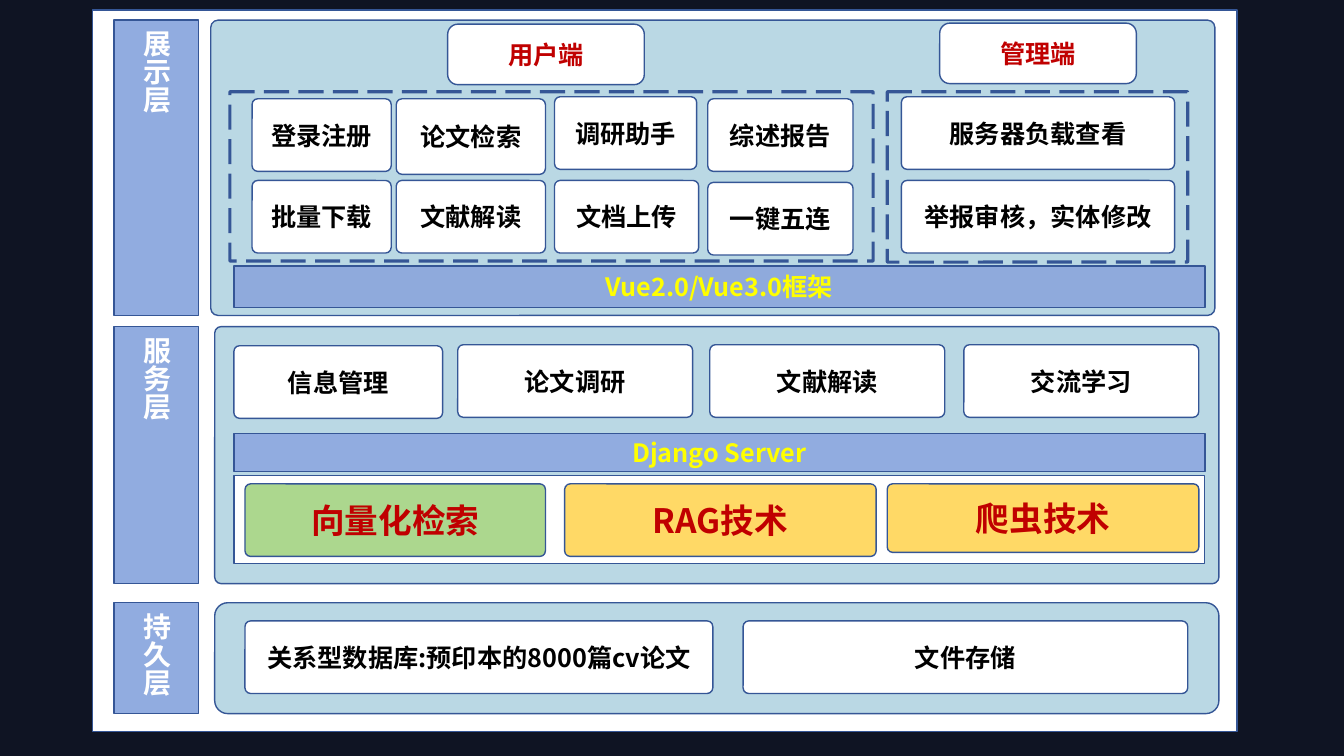
"""Build the three-layer system architecture slide."""
from lxml import etree
from pptx import Presentation
from pptx.dml.color import RGBColor
from pptx.enum.dml import MSO_LINE
from pptx.enum.shapes import MSO_SHAPE
from pptx.enum.text import MSO_ANCHOR, PP_ALIGN
from pptx.oxml.ns import qn
from pptx.util import Inches, Pt

RECT = MSO_SHAPE.RECTANGLE
ROUND = MSO_SHAPE.ROUNDED_RECTANGLE
LONG_DASH = MSO_LINE.LONG_DASH
MIDDLE = MSO_ANCHOR.MIDDLE
CENTER = PP_ALIGN.CENTER

FONT = "Noto Sans CJK SC"
NAVY = RGBColor(0x0F, 0x14, 0x23)
BORDER = RGBColor(0x35, 0x56, 0x96)
PALE = RGBColor(0xBA, 0xD8, 0xE4)
BLUE = RGBColor(0x91, 0xAC, 0xE0)
BAR_BLUE = RGBColor(0x8F, 0xAA, 0xDC)
GREEN = RGBColor(0xAC, 0xD7, 0x8E)
GOLD = RGBColor(0xFF, 0xD9, 0x66)
WHITE = RGBColor(0xFF, 0xFF, 0xFF)
BLACK = RGBColor(0, 0, 0)
RED = RGBColor(0xC0, 0, 0)
YELLOW = RGBColor(0xFF, 0xFF, 0)

BOX_H = 0.72
LAYERS = [
    ("展示层", 2.09, 0.2, 2.93, 0.025),
    ("服务层", 2.13, 3.24, 2.55, 0.025),
    ("持久层", 2.13, 5.98, 1.1, 0.118),
]
HEADINGS = [("用户端", 4.44, 0.24), ("管理端", 9.32, 0.23)]
FEATURES = [
    ("登录注册", 2.5, 0.98, 1.38, BOX_H),
    ("论文检索", 3.93, 0.98, 1.48, 0.75),
    ("调研助手", 5.5, 0.96, 1.41, BOX_H),
    ("综述报告", 7.02, 0.98, 1.44, BOX_H),
    ("批量下载", 2.5, 1.79, 1.38, BOX_H),
    ("文献解读", 3.93, 1.79, 1.48, BOX_H),
    ("文档上传", 5.5, 1.79, 1.43, BOX_H),
    ("一键五连", 7.02, 1.81, 1.44, BOX_H),
    ("服务器负载查看", 8.94, 0.96, 2.71, BOX_H),
    ("举报审核，实体修改", 8.94, 1.79, 2.71, BOX_H),
]
SERVICES = [
    ("信息管理", 2.32, 3.43, 2.07, BOX_H),
    ("论文调研", 4.54, 3.42, 2.33, BOX_H),
    ("文献解读", 7.04, 3.42, 2.33, BOX_H),
    ("交流学习", 9.56, 3.42, 2.33, BOX_H),
]
STORES = [
    ("关系型数据库:预印本的8000篇cv论文", 2.43, 6.16, 4.64, BOX_H),
    ("文件存储", 7.37, 6.16, 4.41, BOX_H),
]
TECHNIQUES = [
    ("RAG技术", 5.6, 3.09, BOX_H, GOLD),
    ("爬虫技术", 8.8, 3.09, 0.68, GOLD),
    ("向量化检索", 2.43, 2.98, BOX_H, GREEN),
]
BARS = [
    ("Vue2.0/Vue3.0框架", 2.64, 0.41, BAR_BLUE),
    ("Django Server", 4.3, 0.38, BLUE),
]
CLIENT_FRAMES = [(2.28, 6.38, 1.68), (8.8, 2.98, 1.69)]


def add_panel(slide, x, y, w, h, fill=WHITE, radius=None):
    """Add an outlined panel, rounded when a radius is given."""
    kind = RECT if radius is None else ROUND
    sp = slide.shapes.add_shape(kind, Inches(x), Inches(y), Inches(w), Inches(h))
    sp.shadow.inherit = False
    if radius is not None:
        sp.adjustments[0] = radius
    if fill is None:
        sp.fill.background()
    else:
        sp.fill.solid()
        sp.fill.fore_color.rgb = fill
    sp.line.color.rgb = BORDER
    sp.line.width = Pt(1)
    return sp


def set_label(sp, text, color=BLACK, size=18):
    """Write a centred bold label into a shape."""
    tf = sp.text_frame
    tf.text = text
    tf.word_wrap = True
    tf.vertical_anchor = MIDDLE
    p = tf.paragraphs[0]
    p.alignment = CENTER
    r = p.runs[0]
    r.font.size = Pt(size)
    r.font.bold = True
    r.font.name = FONT
    r.font.color.rgb = color
    etree.SubElement(r.font._element, qn("a:ea"), typeface=FONT)


def add_box(slide, text, x, y, w, h, fill=WHITE, color=BLACK, size=18, radius=0.078):
    """Add a labelled rounded box."""
    sp = add_panel(slide, x, y, w, h, fill, radius)
    set_label(sp, text, color, size)


def add_layer(slide, name, x, y, h, radius):
    """Add a layer background with its vertical name tag."""
    add_panel(slide, x, y, 9.96, h, PALE, radius)
    tag = add_panel(slide, 1.13, y, 0.84, h, BLUE)
    set_label(tag, name, WHITE, 20)
    tag.text_frame._txBody.bodyPr.set("vert", "eaVert")


def add_client_frame(slide, x, w, h):
    """Add a dashed frame around one client's features."""
    sp = add_panel(slide, x, 0.91, w, h, None, 0.004)
    sp.line.width = Pt(2.25)
    sp.line.dash_style = LONG_DASH


def main():
    """Build and save the slide."""
    prs = Presentation()
    prs.slide_width = Inches(13.33)
    prs.slide_height = Inches(7.5)
    s = prs.slides.add_slide(prs.slide_layouts[6])
    s.background.fill.solid()
    s.background.fill.fore_color.rgb = NAVY

    add_panel(s, 0.92, 0.1, 11.35, 7.16)
    for layer in LAYERS:
        add_layer(s, *layer)
    for box in FEATURES + SERVICES + STORES:
        add_box(s, *box)
    for text, y, h, fill in BARS:
        add_box(s, text, 2.32, y, 9.63, h, fill, YELLOW, radius=0)
    add_panel(s, 2.32, 4.72, 9.63, 0.87)
    for text, x, w, h, fill in TECHNIQUES:
        add_box(s, text, x, 4.8, w, h, fill, RED, 24)
    for frame in CLIENT_FRAMES:
        add_client_frame(s, *frame)
    for text, x, y in HEADINGS:
        add_box(s, text, x, y, 1.95, 0.6, color=RED, radius=0.167)

    prs.save("out.pptx")


if __name__ == "__main__":
    main()
